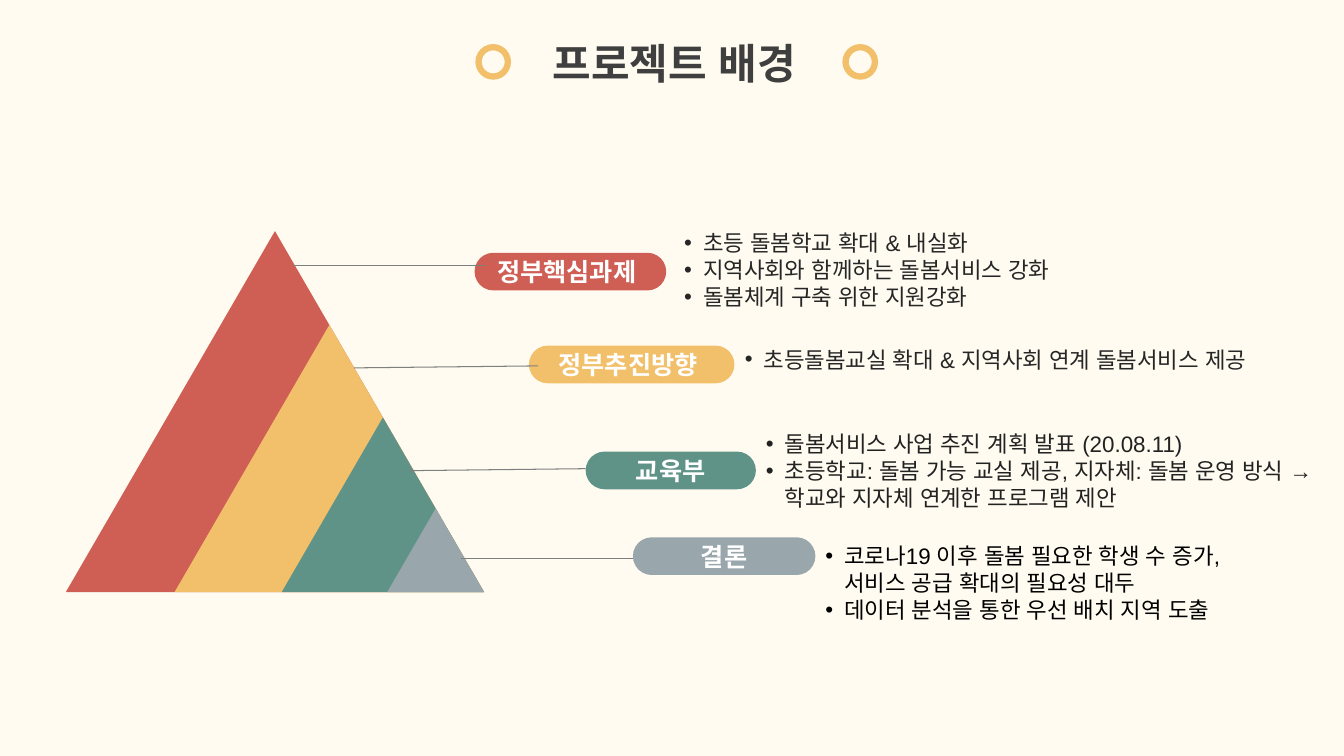
from dataclasses import dataclass

from lxml import etree
from pptx import Presentation
from pptx.dml.color import RGBColor
from pptx.enum.shapes import MSO_CONNECTOR, MSO_SHAPE
from pptx.enum.text import MSO_ANCHOR, PP_ALIGN
from pptx.oxml.ns import qn
from pptx.util import Cm, Pt

TRIANGLE, PILL, RING = MSO_SHAPE.ISOSCELES_TRIANGLE, MSO_SHAPE.ROUNDED_RECTANGLE, MSO_SHAPE.OVAL
STRAIGHT = MSO_CONNECTOR.STRAIGHT
LEFT, CENTER = PP_ALIGN.LEFT, PP_ALIGN.CENTER
TOP, MIDDLE = MSO_ANCHOR.TOP, MSO_ANCHOR.MIDDLE

FONT = "Arial"
CREAM, CHARCOAL, GRAY, WHITE = "FFFBF0", "3F3F3F", "7F7F7F", "FFFFFF"
RED, YELLOW, GREEN, SLATE = "CF5F54", "F2C06B", "5F9387", "99A6AC"

PYRAMID_RIGHT, PYRAMID_BOTTOM, PYRAMID_SLOPE = 12.2, 14.92, 0.863
PILL_HEIGHT = 0.95
BULLET_INDENT = 0.48
RING_SIZE, RING_TOP = 0.74, 1.19

TITLE_FORMAT = {"size": Pt(30), "bold": True}
PILL_FORMAT = {"size": Pt(18), "bold": True}
BODY_FORMAT = {"size": Pt(16), "bold": False}


@dataclass
class Line:
    text: str
    align: PP_ALIGN = LEFT
    indent: float = 0
    bullet: bool = False


@dataclass
class Level:
    color: str
    triangle_width: float
    label: Line
    pill: tuple[float, float, float]            # left, top, width
    leader: tuple[float, float, float, float]   # begin x, y, end x, y
    body: tuple[float, float, float, float]     # left, top, width, height
    body_color: str
    lines: list[Line]


def item(text: str) -> Line:
    return Line(text, indent=BULLET_INDENT, bullet=True)


LEVELS = [
    Level(RED, 10.54, Line("정부핵심과제", indent=0.18), (11.96, 6.37, 4.83),
          (7.39, 6.68, 12.22, 6.68), (16.99, 5.66, 11.94, 1.8), "262626",
          [item("초등 돌봄학교 확대 & 내실화"),
           item("지역사회와 함께하는 돌봄서비스 강화"),
           item("돌봄체계 구축 위한 지원강화")]),
    Level(YELLOW, 7.8, Line("정부추진방향", indent=0.36), (13.33, 8.71, 5.18),
          (8.92, 9.27, 13.56, 9.22), (18.52, 8.59, 14.17, 1.32), "262626",
          [item("초등돌봄교실 확대 & 지역사회 연계 돌봄서비스 제공")]),
    Level(GREEN, 5.1, Line("교육부", CENTER), (14.76, 11.38, 4.29),
          (10.29, 11.86, 14.76, 11.81), (19.05, 10.72, 14.71, 2.24), "222222",
          [item("돌봄서비스 사업 추진 계획 발표 (20.08.11)"),
           item("초등학교: 돌봄 가능 교실 제공, 지자체: 돌봄 운영 방식 "
                "→ 학교와 지자체 연계한 프로그램 제안")]),
    Level(SLATE, 2.44, Line("결론", CENTER), (15.95, 13.54, 4.6),
          (11.63, 14.07, 15.95, 14.07), (20.55, 13.54, 11.53, 2.06), "000000",
          [item("코로나19 이후 돌봄 필요한 학생 수 증가,"),
           Line("서비스 공급 확대의 필요성 대두", indent=BULLET_INDENT),
           item("데이터 분석을 통한 우선 배치 지역 도출")]),
]


def paint(target, color: str) -> None:
    """Give a fill a solid colour."""
    target.solid()
    target.fore_color.rgb = RGBColor.from_string(color)


def write(shape, lines: list[Line], color: str, font_format: dict, anchor=TOP) -> None:
    frame = shape.text_frame
    frame.word_wrap = True
    frame.vertical_anchor = anchor
    for index, line in enumerate(lines):
        para = frame.add_paragraph() if index else frame.paragraphs[0]
        para.alignment = line.align
        properties = para._p.get_or_add_pPr()
        properties.set("marL", str(Cm(line.indent)))
        properties.set("indent", str(-Cm(line.indent) if line.bullet else 0))
        if line.bullet:
            etree.SubElement(properties, qn("a:buFont"), typeface=FONT)
            etree.SubElement(properties, qn("a:buChar"), char="•")
        span = para.add_run()
        span.text = line.text
        for name, value in {"name": FONT, **font_format}.items():
            setattr(span.font, name, value)
        paint(span.font.fill, color)
        etree.SubElement(span._r.get_or_add_rPr(), qn("a:ea"), typeface=FONT)


def add_shape(page, kind, left: float, top: float, width: float, height: float):
    shape = page.shapes.add_shape(kind, Cm(left), Cm(top), Cm(width), Cm(height))
    shape.shadow.inherit = False
    return shape


def add_filled(page, kind, color: str, *box: float):
    shape = add_shape(page, kind, *box)
    paint(shape.fill, color)
    shape.line.fill.background()
    return shape


def add_text(page, box: tuple, lines: list[Line], color: str, font_format: dict) -> None:
    write(page.shapes.add_textbox(*map(Cm, box)), lines, color, font_format)


def add_title(page) -> None:
    add_text(page, (12.7, 0.81, 8.59, 0.97), [Line("프로젝트 배경", CENTER)],
             CHARCOAL, TITLE_FORMAT)
    for left in (12.06, 21.31):
        ring = add_shape(page, RING, left, RING_TOP, RING_SIZE, RING_SIZE)
        ring.fill.background()
        paint(ring.line.fill, YELLOW)
        ring.line.width = Pt(4.5)


def add_level(page, level: Level) -> None:
    width = level.triangle_width
    height = width * PYRAMID_SLOPE
    add_filled(page, TRIANGLE, level.color, PYRAMID_RIGHT - width,
               PYRAMID_BOTTOM - height, width, height)
    pill = add_filled(page, PILL, level.color, *level.pill, PILL_HEIGHT)
    pill.adjustments[0] = 0.5
    write(pill, [level.label], WHITE, PILL_FORMAT, MIDDLE)
    add_text(page, level.body, level.lines, level.body_color, BODY_FORMAT)


def add_leader(page, level: Level) -> None:
    leader = page.shapes.add_connector(STRAIGHT, *map(Cm, level.leader))
    paint(leader.line.fill, GRAY)
    leader.line.width = Pt(0.75)
    etree.SubElement(leader._element.spPr, qn("a:effectLst"))


def main() -> None:
    deck = Presentation()
    deck.slide_width, deck.slide_height = Cm(33.87), Cm(19.05)
    page = deck.slides.add_slide(deck.slide_layouts[6])
    paint(page.background.fill, CREAM)
    add_title(page)
    for level in LEVELS:
        add_level(page, level)
    for level in LEVELS:
        add_leader(page, level)
    deck.save("out.pptx")


if __name__ == "__main__":
    main()
